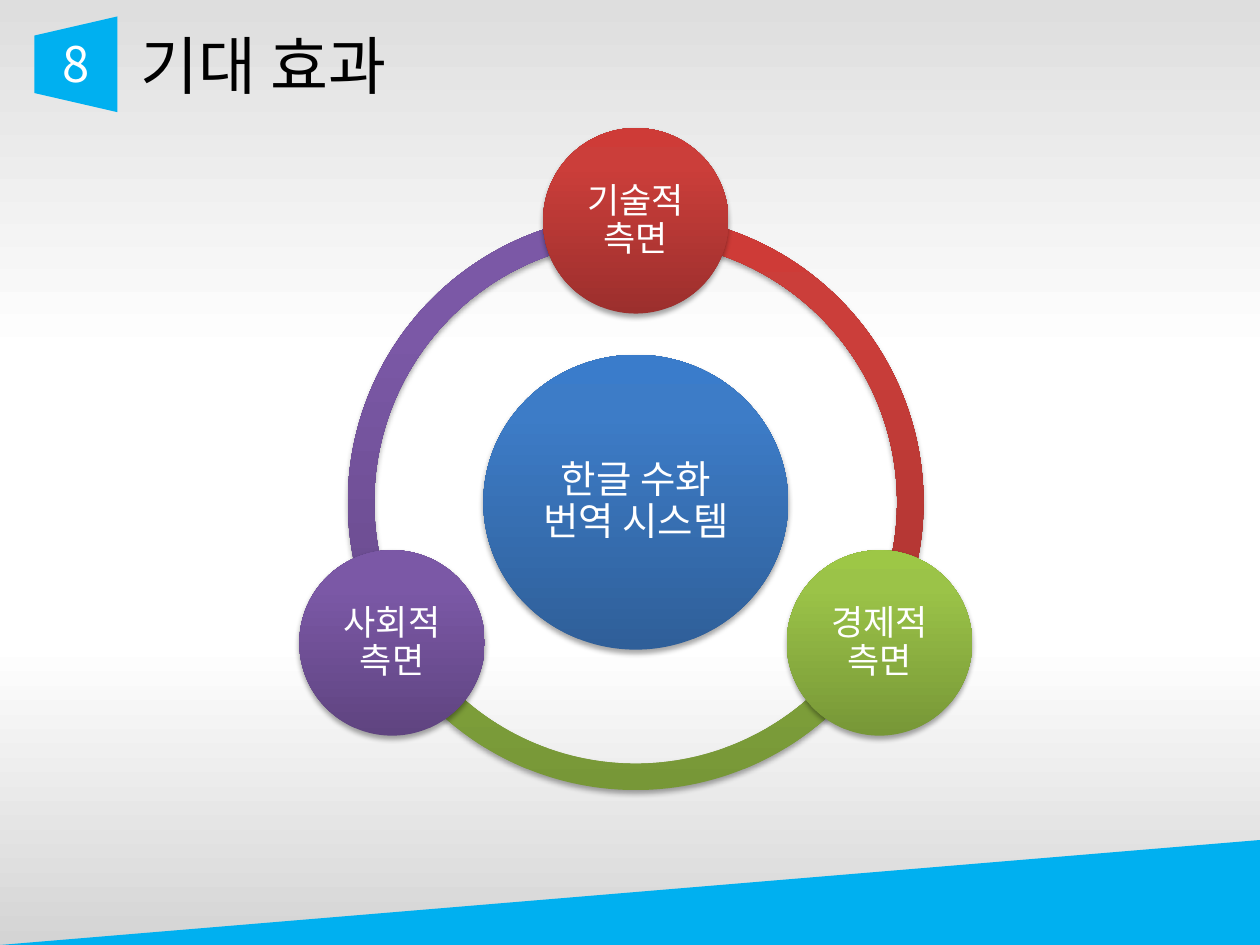
from math import cos, radians, sin

from lxml.etree import SubElement
from pptx import Presentation
from pptx.dml.color import RGBColor
from pptx.enum.shapes import MSO_SHAPE as SHAPE
from pptx.enum.text import MSO_ANCHOR as ANCHOR, MSO_AUTO_SIZE as AUTO, PP_ALIGN as ALIGN
from pptx.oxml.ns import qn
from pptx.util import Pt

FONT = "Noto Sans CJK KR"
CYAN = "00B0F0"
BLUE = [(0, "2F5F99"), (80, "3D7CC7"), (100, "3A7CCB")]
RED = [(0, "9C2F2D"), (80, "CB3E3A"), (100, "CE3B37")]
GREEN = [(0, "779737"), (80, "9BC348"), (100, "9DC746")]
PURPLE = [(0, "5F4480"), (80, "7B58A6"), (100, "7C57A8")]
BACKDROP = [(0, "DEDEDE"), (38, "FFFFFF"), (68, "FFFFFF"), (100, "D4D4D4")]

CX, CY = 363.3, 287
RING, ORBIT, NODE = 329, 160.8, 106
# label, colours, angle clockwise from the right
NODES = [("기술적 측면", RED, 270), ("경제적 측면", GREEN, 30), ("사회적 측면", PURPLE, 150)]


def rgb(color):
    return RGBColor.from_string(color)


def fill_gradient(sp, stops, angle):
    """Fill with (percent, colour) stops; angle runs counter-clockwise."""
    sp.fill.gradient()
    sp.fill.gradient_angle = angle
    gs_list = sp._element.spPr.find(qn("a:gradFill")).find(qn("a:gsLst"))
    for gs in list(gs_list):
        gs_list.remove(gs)
    for pos, color in stops:
        gs = SubElement(gs_list, qn("a:gs"), pos=str(pos * 1000))
        SubElement(gs, qn("a:srgbClr"), val=color)


def add_shape(shapes, kind, x, y, w, h, fill, angle=90, rotation=0):
    sp = shapes.add_shape(kind, Pt(x), Pt(y), Pt(w), Pt(h))
    sp.shadow.inherit = False
    sp.line.fill.background()
    sp.rotation = rotation
    if isinstance(fill, str):
        sp.fill.solid()
        sp.fill.fore_color.rgb = rgb(fill)
    else:
        fill_gradient(sp, fill, angle)
    return sp


def add_shadow(sp):
    effects = sp._element.spPr.find(qn("a:effectLst"))
    shadow = SubElement(effects, qn("a:outerShdw"), blurRad=str(Pt(3.1)), dist=str(Pt(1.8)),
                        dir="5400000", rotWithShape="0")
    color = SubElement(shadow, qn("a:srgbClr"), val="000000")
    SubElement(color, qn("a:alpha"), val="35000")


def write_text(tf, text, size, color, align=ALIGN.LEFT, anchor=ANCHOR.TOP, spacing=None,
               inset=None, wrap=True):
    tf.word_wrap = wrap
    tf.vertical_anchor = anchor
    if inset is not None:
        tf.margin_left = tf.margin_right = tf.margin_top = tf.margin_bottom = Pt(inset)
    p = tf.paragraphs[0]
    p.alignment = align
    p.line_spacing = spacing
    r = p.add_run()
    r.text = text
    r.font.size = Pt(size)
    r.font.name = FONT
    r.font.color.rgb = rgb(color)
    SubElement(r.font._element, qn("a:ea"), typeface=FONT)


def add_label(shapes, text, x, y, w, h, size, color):
    tf = shapes.add_textbox(Pt(x), Pt(y), Pt(w), Pt(h)).text_frame
    write_text(tf, text, size, color, wrap=False)
    tf.auto_size = AUTO.SHAPE_TO_FIT_TEXT


def add_arc(shapes, start, end, fill):
    """Draw the part of the ring that runs clockwise from start to end degrees."""
    sp = add_shape(shapes, SHAPE.BLOCK_ARC, CX - RING / 2, CY - RING / 2, RING, RING, fill)
    for i, value in enumerate((start * 0.6, end * 0.6, 0.046)):
        sp.adjustments[i] = value
    add_shadow(sp)


def add_circle(shapes, text, cx, cy, w, h, fill, size):
    sp = add_shape(shapes, SHAPE.OVAL, cx - w / 2, cy - h / 2, w, h, fill)
    add_shadow(sp)
    write_text(sp.text_frame, text, size, "FFFFFF", align=ALIGN.CENTER,
               anchor=ANCHOR.MIDDLE, spacing=0.9, inset=2)


def add_cycle(shapes):
    starts = [angle for _, _, angle in NODES]
    ends = starts[1:] + starts[:1]
    for (_, fill, start), end in reversed(list(zip(NODES, ends))):
        add_arc(shapes, start, end, fill)
    add_circle(shapes, "한글 수화 번역 시스템", CX, CY, 174.2, 168.5, BLUE, 22)
    for text, fill, angle in NODES:
        a = radians(angle)
        add_circle(shapes, text, CX + ORBIT * cos(a), CY + ORBIT * sin(a), NODE, NODE, fill, 20)


def main():
    prs = Presentation()
    prs.slide_width, prs.slide_height = Pt(720), Pt(540)
    shapes = prs.slides.add_slide(prs.slide_layouts[6]).shapes

    add_shape(shapes, SHAPE.RECTANGLE, 0, 0, 720, 540, BACKDROP, angle=270)
    add_shape(shapes, SHAPE.FLOWCHART_MANUAL_OPERATION, 16, 13, 54.7, 47.5, CYAN, rotation=90)
    add_label(shapes, "8", 28.8, 15.8, 31.7, 41, 28, "FFFFFF")
    add_label(shapes, "기대 효과", 73.4, 11.5, 172, 51, 36, "000000")
    wedge = add_shape(shapes, SHAPE.ISOSCELES_TRIANGLE, 330, 150, 60, 720, CYAN, rotation=270)
    wedge.adjustments[0] = 0
    add_cycle(shapes.add_group_shape().shapes)

    prs.save("out.pptx")


if __name__ == "__main__":
    main()
